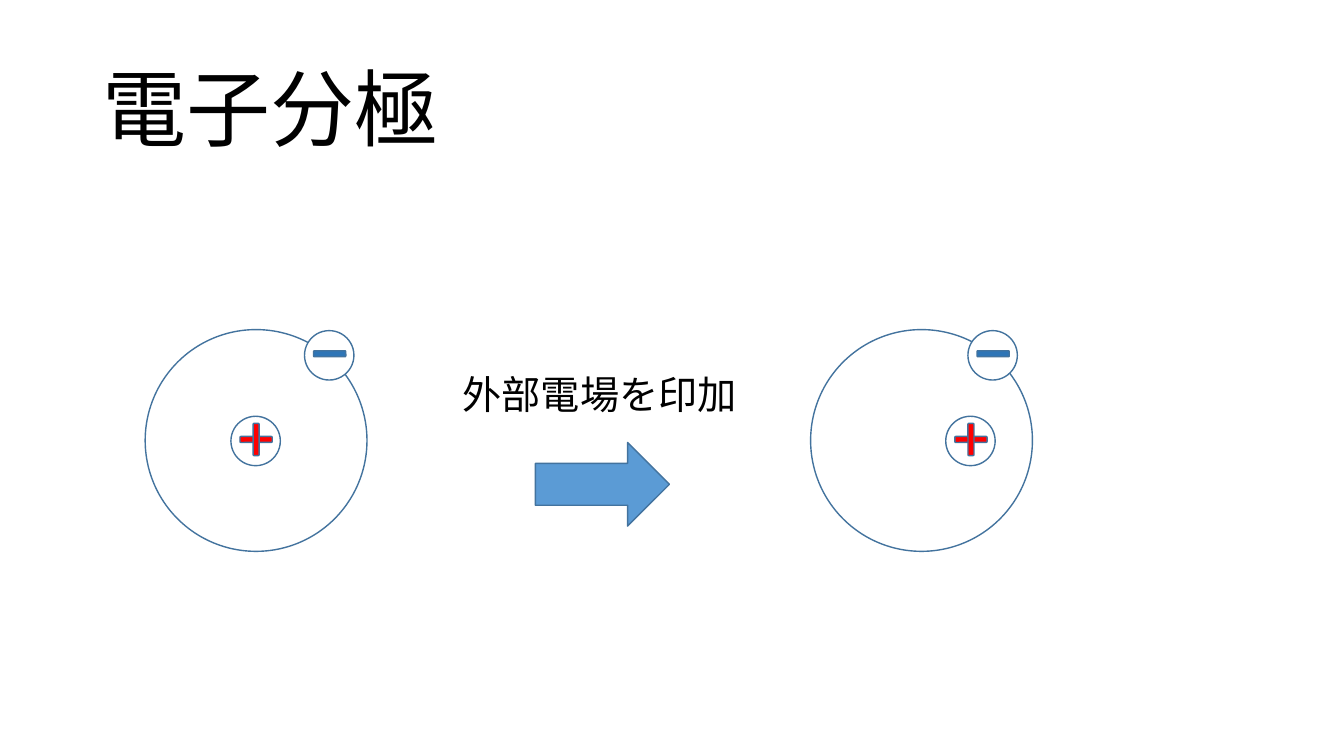
from pptx import Presentation
from pptx.dml.color import RGBColor
from pptx.enum import shapes, text
from pptx.util import Inches, Pt

OVAL = shapes.MSO_SHAPE.OVAL
BAR = shapes.MSO_SHAPE.ROUNDED_RECTANGLE
ARROW = shapes.MSO_SHAPE.RIGHT_ARROW


def color(value):
    return RGBColor.from_string(value)


class Deck:
    """Style and current slide, with one method per kind of element."""
    font, ink, outline = "Calibri", "000000", "43739E"
    white, red, blue, arrow_blue = "FFFFFF", "FF0000", "2E75B6", "5B9BD5"

    def __init__(self, slide):
        self.s = slide

    def set_text(self, sp, words, size, frame, para):
        tf = sp.text_frame
        for name, value in frame.items():
            setattr(tf, name, value)
        p = tf.paragraphs[0]
        for name, value in para.items():
            setattr(p, name, value)
        r = p.add_run()
        r.text = words
        for name, value in {"name": self.font, "size": Pt(size)}.items():
            setattr(r.font, name, value)
        r.font.color.rgb = color(self.ink)

    def title(self, words, x, y, w, h, size):
        sp = self.s.shapes.title
        box = {"left": x, "top": y, "width": w, "height": h}
        for name, value in box.items():
            setattr(sp, name, Inches(value))
        self.set_text(sp, words, size,
                      {"vertical_anchor": text.MSO_ANCHOR.MIDDLE,
                       "auto_size": text.MSO_AUTO_SIZE.NONE},
                      {"alignment": text.PP_ALIGN.LEFT, "line_spacing": 0.9})

    def label(self, words, x, y, w, h, size):
        sp = self.s.shapes.add_textbox(*map(Inches, (x, y, w, h)))
        self.set_text(sp, words, size,
                      {"word_wrap": False,
                       "auto_size": text.MSO_AUTO_SIZE.SHAPE_TO_FIT_TEXT}, {})

    def shape(self, kind, x, y, w, h, fill, rotation=0, parent=None):
        sp = (parent or self.s).shapes.add_shape(kind, *map(Inches, (x, y, w, h)))
        sp.rotation = rotation
        sp.shadow.inherit = False
        sp.fill.solid()
        sp.fill.fore_color.rgb = color(fill)
        sp.line.color.rgb = color(self.outline)
        sp.line.width = Pt(1)

    def charge(self, x, y, fill, rotations):
        """Small circle whose sign is one bar per rotation."""
        group = self.s.shapes.add_group_shape()
        self.shape(OVAL, x, y, 0.49, 0.49, self.white, parent=group)
        for rotation in rotations:
            self.shape(BAR, x + 0.09, y + 0.2, 0.32, 0.06, fill, rotation, group)

    def atom(self, x, nucleus_x, electron_x):
        self.shape(OVAL, x, 3.27, 2.2, 2.2, self.white)
        self.charge(nucleus_x, 4.13, self.red, (0, 90))
        self.charge(electron_x, 3.28, self.blue, (0,))


prs = Presentation()
prs.slide_width, prs.slide_height = Inches(13.33), Inches(7.5)
deck = Deck(prs.slides.add_slide(prs.slide_layouts[5]))

# Title
deck.title("電子分極", 0.92, 0.4, 11.5, 1.45, 60)

# Atom before the field
deck.atom(1.44, nucleus_x=2.29, electron_x=3.02)

# Applied external field
deck.shape(ARROW, 5.31, 4.39, 1.33, 0.83, deck.arrow_blue)
deck.label("外部電場を印加", 4.49, 3.62, 2.97, 0.57, 28)

# Polarised atom with its nucleus displaced
deck.atom(8.04, nucleus_x=9.38, electron_x=9.6)

prs.save("out.pptx")
